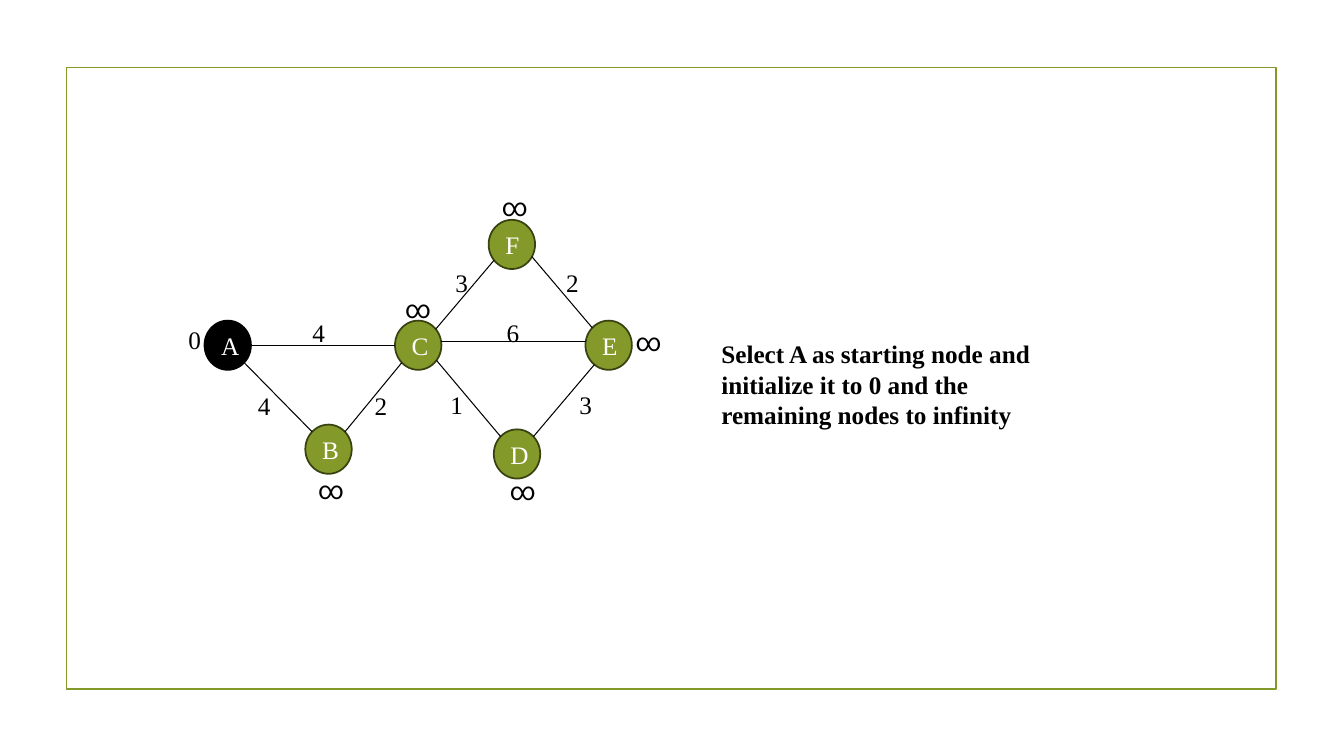
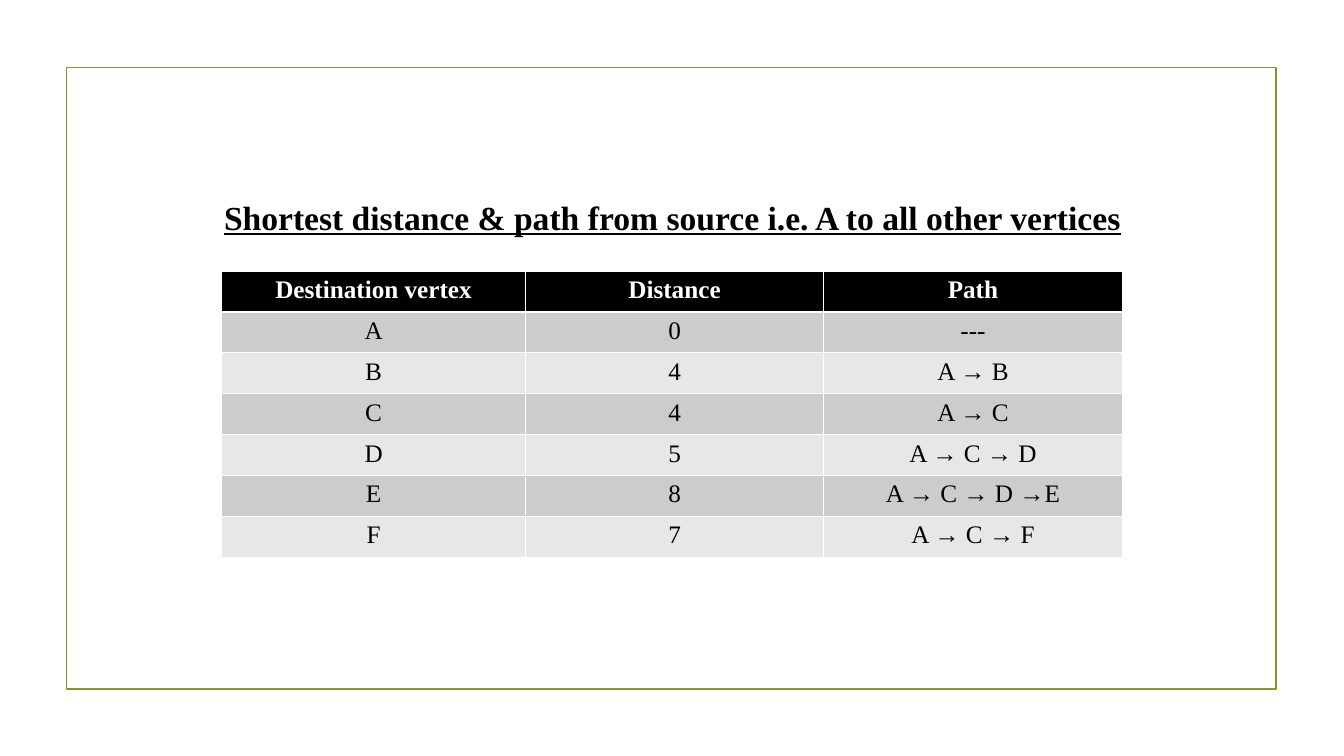
from math import cos, radians, sin

from lxml import etree
from pptx import Presentation
from pptx.dml.color import RGBColor
from pptx.enum.shapes import MSO_CONNECTOR, MSO_SHAPE
from pptx.enum.text import MSO_ANCHOR, MSO_AUTO_SIZE, PP_ALIGN
from pptx.oxml.ns import qn
from pptx.util import Cm, Pt

RECTANGLE, OVAL = MSO_SHAPE.RECTANGLE, MSO_SHAPE.OVAL
STRAIGHT = MSO_CONNECTOR.STRAIGHT
LEFT, CENTER = PP_ALIGN.LEFT, PP_ALIGN.CENTER
MIDDLE = MSO_ANCHOR.MIDDLE
GROW = MSO_AUTO_SIZE.SHAPE_TO_FIT_TEXT

COLORS = {
    "green": "83992A", "dark_green": "394312", "black": "000000",
    "white": "FFFFFF", "band_dark": "CCCCCC", "band_light": "E7E7E7",
}
SERIF, SYMBOL = "Times New Roman", "Roboto"

# All lengths are in centimetres
NODE_W, NODE_H = 1.17, 1.24
LABEL_H = 1.02
DIGIT_W, INFINITY_W = 0.64, 0.91
ROW_H = 1.03

# Node centres
NODES = {
    "C": (10.54, 8.7), "A": (5.74, 8.7), "B": (8.28, 11.32),
    "E": (15.34, 8.7), "D": (13.03, 11.44), "F": (12.9, 6.16),
}
START = "A"

# Edge: node and angle at each end (clockwise from the right),
# then the weight and the corner of its label
EDGES = [
    ("A", 45, "B", 225, "4", 6.25, 9.7),
    ("C", 135, "B", 315, "2", 9.19, 9.7),
    ("C", 38, "D", 225, "1", 11.1, 9.68),
    ("E", 128, "D", 315, "3", 14.35, 9.68),
    ("F", 140, "C", 319, "3", 11.23, 6.6),
    ("C", 180, "A", 0, "4", 7.62, 7.87),
    ("E", 188, "C", 352, "6", 12.52, 7.87),
    ("F", 30, "E", 225, "2", 14.02, 6.6),
]

# Corners of the infinity labels beside B, D, C, F and E
INFINITIES = [(7.77, 11.84), (12.6, 11.86), (9.96, 7.26),
              (12.4, 4.7), (15.77, 8.1)]

COLUMN_WIDTHS = [7.65, 7.52, 7.52]
ROUTES = [
    ("Destination vertex", "Distance", "Path"),
    ("A", "0", "---"),
    ("B", "4", "A → B"),
    ("C", "4", "A → C"),
    ("D", "5", "A → C → D"),
    ("E", "8", "A → C → D →E"),
    ("F", "7", "A → C → F"),
]


def rgb(name):
    return RGBColor.from_string(COLORS[name])


class Deck:
    """Holds the shared style and the slide being built."""

    def __init__(self):
        self.prs = Presentation()
        self.prs.slide_width, self.prs.slide_height = Cm(33.87), Cm(19.05)
        self.slide = None

    def new_slide(self):
        self.slide = self.prs.slides.add_slide(self.prs.slide_layouts[6])
        self.shape(RECTANGLE, 1.68, 1.7, 30.48, 15.67, None, "green")

    def shape(self, preset, x, y, w, h, fill, line):
        shape = self.slide.shapes.add_shape(preset, Cm(x), Cm(y), Cm(w), Cm(h))
        shape.shadow.inherit = False
        if fill:
            shape.fill.solid()
            shape.fill.fore_color.rgb = rgb(fill)
        else:
            shape.fill.background()
        shape.line.color.rgb = rgb(line)
        shape.line.width = Pt(1.25)
        return shape

    def add_words(self, frame, text, color="black", size=18, font=SERIF,
                  bold=False, underline=False, align=CENTER):
        paragraph = frame.paragraphs[0]
        paragraph.alignment = align
        run = paragraph.add_run()
        run.text = text
        run.font.name, run.font.size = font, Pt(size)
        run.font.bold, run.font.underline = bold, underline
        run.font.color.rgb = rgb(color)

    def text(self, text, x, y, w, h=LABEL_H, align=LEFT, **style):
        box = self.slide.shapes.add_textbox(Cm(x), Cm(y), Cm(w), Cm(h))
        box.text_frame.word_wrap = True
        box.text_frame.auto_size = GROW
        self.add_words(box.text_frame, text, align=align, **style)

    def node(self, letter):
        x, y = NODES[letter]
        fill, line = (("black", "black") if letter == START
                      else ("green", "dark_green"))
        circle = self.shape(OVAL, x - NODE_W / 2, y - NODE_H / 2,
                            NODE_W, NODE_H, fill, line)
        circle.text_frame.vertical_anchor = MIDDLE
        self.add_words(circle.text_frame, letter, "white")

    def rim(self, letter, angle):
        x, y = NODES[letter]
        turn = radians(angle)
        return Cm(x + NODE_W / 2 * cos(turn)), Cm(y + NODE_H / 2 * sin(turn))

    def edge(self, first, first_angle, second, second_angle):
        edge = self.slide.shapes.add_connector(
            STRAIGHT, *self.rim(first, first_angle),
            *self.rim(second, second_angle))
        edge.line.color.rgb = rgb("black")
        edge.line.width = Pt(0.75)
        properties = edge.element.find(qn("p:spPr"))
        etree.SubElement(properties, qn("a:effectLst"))

    def table(self, rows, x, y, widths):
        table = self.slide.shapes.add_table(
            len(rows), len(widths), Cm(x), Cm(y),
            Cm(sum(widths)), Cm(ROW_H * len(rows))).table
        for column, width in zip(table.columns, widths):
            column.width = Cm(width)
        for r, values in enumerate(rows):
            table.rows[r].height = Cm(ROW_H)
            header = r == 0
            band = "band_dark" if r % 2 else "band_light"
            for c, value in enumerate(values):
                cell = table.cell(r, c)
                cell.fill.solid()
                cell.fill.fore_color.rgb = rgb("black" if header else band)
                self.add_words(cell.text_frame, value,
                               "white" if header else "black", bold=header)


def main():
    deck = Deck()

    # Weighted graph with its starting distances
    deck.new_slide()
    for letter in NODES:
        deck.node(letter)
    for *ends, weight, x, y in EDGES:
        deck.edge(*ends)
        deck.text(weight, x, y, DIGIT_W)
    deck.text("0", 4.5, 8.05, DIGIT_W)
    for x, y in INFINITIES:
        deck.text("∞", x, y, INFINITY_W, font=SYMBOL)
    deck.text("Select A as starting node and initialize it to 0 and the "
              "remaining nodes to infinity", 17.93, 8.41, 9.55, 2.57, bold=True)

    # Table of shortest paths
    deck.new_slide()
    deck.text("Shortest distance & path from source i.e. A to all other vertices",
              1.83, 4.83, 30.23, 1.27, align=CENTER,
              size=24, bold=True, underline=True)
    deck.table(ROUTES, 5.59, 6.83, COLUMN_WIDTHS)

    deck.prs.save("out.pptx")


if __name__ == "__main__":
    main()
